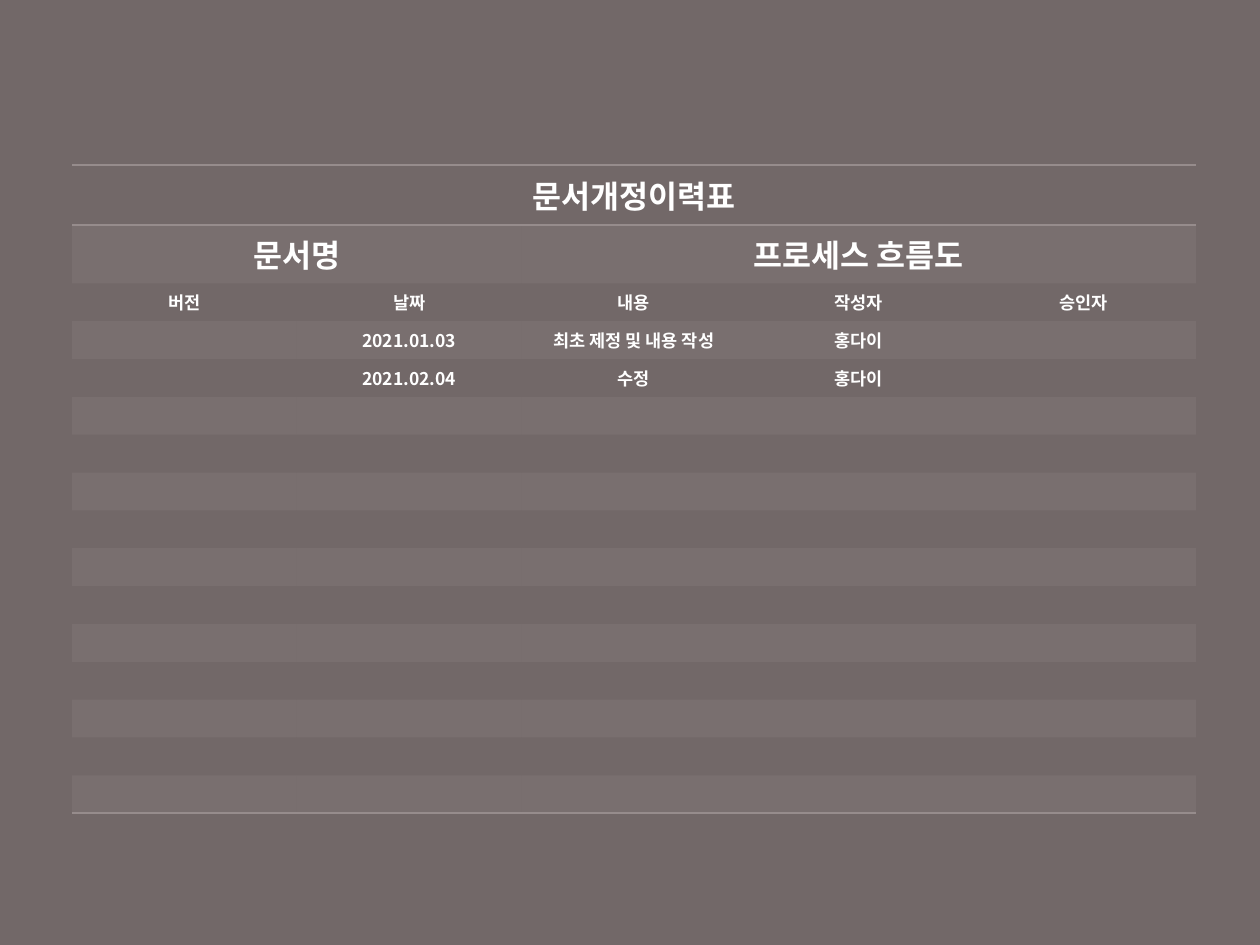
from lxml import etree
from pptx import Presentation
from pptx.dml.color import RGBColor
from pptx.enum import shapes, text
from pptx.oxml import ns
from pptx.util import Pt

FONT = "Noto Sans CJK KR"
BACKGROUND, ACCENT, WHITE = "726868", "968C8C", "FFFFFF"
NO_STYLE = "{2D5ABB26-0587-4C30-8999-92F81FD0307C}"

ROWS, COLS = 16, 5
LEFT, TOP, COL_WIDTH = 41.1, 94.3, 128.45
HEADING_HEIGHTS, ROW_HEIGHT = [34.3, 31], 20.85
HEADING_SIZE, BODY_SIZE = 18, 10

CONTENT = [
    ["문서개정이력표"],
    ["문서명", "", "프로세스 흐름도"],
    ["버전", "날짜", "내용", "작성자", "승인자"],
    ["", "2021.01.03", "최초 제정 및 내용 작성", "홍다이"],
    ["", "2021.02.04", "수정", "홍다이"],
]
MERGES = [(0, 0, 4), (1, 0, 1), (1, 2, 4)]  # row, first column, last column
BORDERS = {0: ["lnT", "lnB"], ROWS - 1: ["lnB"]}


def add(parent, tag, **attributes):
    return etree.SubElement(parent, ns.qn(tag), attributes)


def paint(fill, color):
    fill.solid()
    fill.fore_color.rgb = RGBColor.from_string(color)


def set_borders(cell, sides):
    tcPr = cell._tc.get_or_add_tcPr()
    for i, side in enumerate(sides):
        line = add(tcPr, f"a:{side}", w=str(Pt(1)))
        add(add(line, "a:solidFill"), "a:srgbClr", val=ACCENT)
        tcPr.insert(i, line)  # lines come before the fill


def set_text(cell, value, size):
    cell.vertical_anchor = text.MSO_ANCHOR.MIDDLE
    p = cell.text_frame.paragraphs[0]
    p.alignment = text.PP_ALIGN.CENTER
    if not value:
        # An empty cell needs its own size to keep the row low
        end = add(p._p, "a:endParaRPr", sz=str(size * 100), b="1")
        for script in ("a:latin", "a:ea"):
            add(end, script, typeface=FONT)
        return
    p.text = value
    font = p.runs[0].font
    font.name, font.size, font.bold = FONT, Pt(size), True
    font.color.rgb = RGBColor.from_string(WHITE)
    add(font._element, "a:ea", typeface=FONT)


prs = Presentation()
prs.slide_width, prs.slide_height = Pt(720), Pt(540)
s = prs.slides.add_slide(prs.slide_layouts[6])

backdrop = s.shapes.add_shape(shapes.MSO_SHAPE.RECTANGLE, 0, 0,
                              prs.slide_width, prs.slide_height)
backdrop.shadow.inherit = False
paint(backdrop.fill, BACKGROUND)
backdrop.line.fill.background()

heights = HEADING_HEIGHTS + [ROW_HEIGHT] * (ROWS - len(HEADING_HEIGHTS))
table = s.shapes.add_table(ROWS, COLS, Pt(LEFT), Pt(TOP),
                           Pt(COL_WIDTH * COLS), Pt(sum(heights))).table
table.first_row = table.horz_banding = False
table._tbl.tblPr.find(ns.qn("a:tableStyleId")).text = NO_STYLE
for column in table.columns:
    column.width = Pt(COL_WIDTH)

for r, height in enumerate(heights):
    table.rows[r].height = Pt(height)
    size = HEADING_SIZE if r < len(HEADING_HEIGHTS) else BODY_SIZE
    values = CONTENT[r] if r < len(CONTENT) else []
    for c in range(COLS):
        cell = table.cell(r, c)
        set_text(cell, values[c] if c < len(values) else "", size)
        if r % 2:
            paint(cell.fill, ACCENT)
            color = cell._tc.tcPr.find(".//" + ns.qn("a:srgbClr"))
            add(color, "a:alpha", val="20000")
        else:
            cell.fill.background()
        set_borders(cell, BORDERS.get(r, []))

for r, first, last in MERGES:
    table.cell(r, first).merge(table.cell(r, last))

prs.save("out.pptx")
